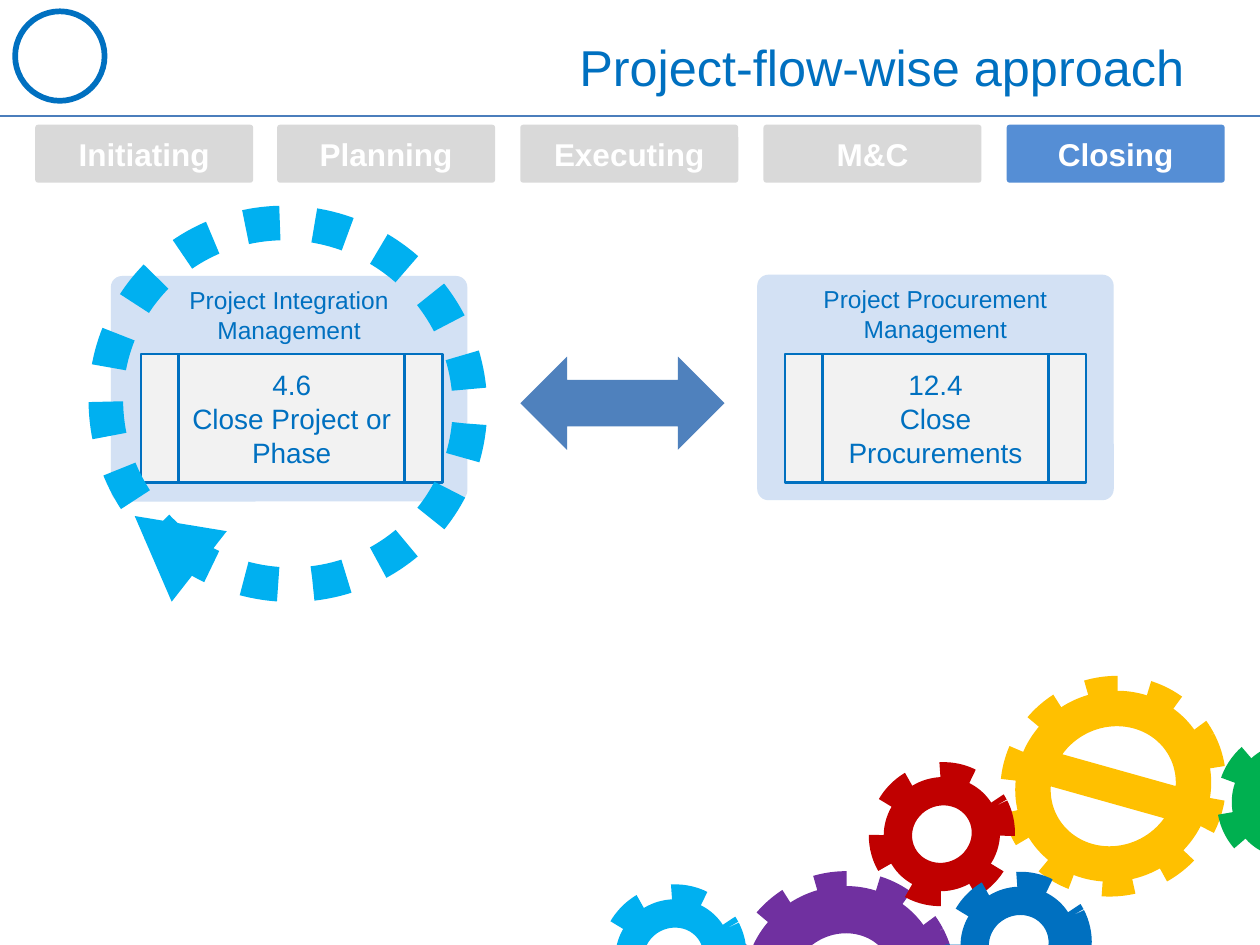
"""Build the project-flow-wise approach slide for the Closing phase."""
from lxml import etree
from pptx import Presentation
from pptx.dml.color import RGBColor
from pptx.enum.dml import MSO_LINE
from pptx.enum.shapes import MSO_CONNECTOR, MSO_SHAPE
from pptx.enum.text import MSO_ANCHOR, MSO_AUTO_SIZE, PP_ALIGN
from pptx.oxml.ns import qn
from pptx.util import Pt

PX = 9144
CENTER, RIGHT = PP_ALIGN.CENTER, PP_ALIGN.RIGHT
TOP, MIDDLE = MSO_ANCHOR.TOP, MSO_ANCHOR.MIDDLE
OVAL, DONUT, NO_ENTRY = MSO_SHAPE.OVAL, MSO_SHAPE.DONUT, MSO_SHAPE.NO_SYMBOL
ROUNDED, TRIANGLE = MSO_SHAPE.ROUNDED_RECTANGLE, MSO_SHAPE.ISOSCELES_TRIANGLE
PROCESS, TWO_WAY = MSO_SHAPE.FLOWCHART_PREDEFINED_PROCESS, MSO_SHAPE.LEFT_RIGHT_ARROW
DOTS = MSO_LINE.ROUND_DOT

WHITE = RGBColor(0xFF, 0xFF, 0xFF)
PALE = RGBColor(0xF2, 0xF2, 0xF2)
GREY = RGBColor(0xD9, 0xD9, 0xD9)
BLUE = RGBColor(0x00, 0x70, 0xC0)
SKY = RGBColor(0x00, 0xB0, 0xF0)
ACTIVE = RGBColor(0x55, 0x8E, 0xD5)
PANEL = RGBColor(0xC6, 0xD9, 0xF1)
ARROW = RGBColor(0x4F, 0x81, 0xBD)
RULE = RGBColor(0x4B, 0x7E, 0xBC)
GOLD = RGBColor(0xFF, 0xC0, 0x00)
PURPLE = RGBColor(0x70, 0x30, 0xA0)
RED = RGBColor(0xC0, 0x00, 0x00)
GREEN = RGBColor(0x00, 0xB0, 0x50)


def add_shape(kind, box, fill=None, line=None, width=1, rot=0, dash=None):
    sp = slide.shapes.add_shape(kind, *[v * PX for v in box])
    sp.shadow.inherit = False
    sp.rotation = rot
    if fill is None:
        sp.fill.background()
    else:
        sp.fill.solid()
        sp.fill.fore_color.rgb = fill
    if line is None:
        sp.line.fill.background()
    else:
        sp.line.color.rgb = line
        sp.line.width = Pt(width)
        sp.line.dash_style = dash
    if kind == ROUNDED:
        sp.adjustments[0] = 0.05
    return sp


def set_text(sp, text, size, color, bold=False, align=CENTER, anchor=MIDDLE):
    tf = sp.text_frame
    tf.text = text
    tf.word_wrap = True
    tf.auto_size = MSO_AUTO_SIZE.NONE
    tf.vertical_anchor = anchor
    for p in tf.paragraphs:
        p.alignment = align
        for r in p.runs:
            r.font.name = "Arial"
            r.font.size = Pt(size)
            r.font.bold = bold
            r.font.color.rgb = color


prs = Presentation()
prs.slide_width, prs.slide_height = 1000 * PX, 750 * PX
slide = prs.slides.add_slide(prs.slide_layouts[5])

title = slide.shapes.title
title.left, title.top, title.width, title.height = 50 * PX, 30 * PX, 900 * PX, 46 * PX
set_text(title, "Project-flow-wise approach", 28.8, BLUE, align=RIGHT)

rule = slide.shapes.add_connector(MSO_CONNECTOR.STRAIGHT, 0, 92 * PX, 1000 * PX, 92 * PX)
rule.line.color.rgb = RULE
rule.line.width = Pt(0.75)
etree.SubElement(rule._element.spPr, qn("a:effectLst"))

add_shape(OVAL, (12, 9, 71, 71), line=BLUE, width=3.25)

phases = ["Initiating", "Planning", "Executing", "M&C", "Closing"]
first, last = 28, 799
for i, phase in enumerate(phases):
    left = first + (last - first) * i // (len(phases) - 1)
    sp = add_shape(ROUNDED, (left, 99, 173, 46), ACTIVE if phase == "Closing" else GREY)
    set_text(sp, phase, 18, WHITE, bold=True)

areas = [
    ((88, 219, 283, 179), "Project Integration\nManagement", 112, "4.6\nClose Project or Phase"),
    ((601, 218, 283, 179), "Project Procurement\nManagement", 623, "12.4\nClose Procurements"),
]
for box, area, left, process in areas:
    panel = add_shape(ROUNDED, box, PANEL)
    color = panel.fill._xPr.find(qn("a:solidFill"))[0]
    etree.SubElement(color, qn("a:alpha"), val="77000")
    set_text(panel, area, 14, BLUE, anchor=TOP)
    sp = add_shape(PROCESS, (left, 281, 239, 102), PALE, BLUE, 1.5)
    set_text(sp, process, 16, BLUE)

add_shape(OVAL, (86, 175, 285, 291), line=SKY, width=19.75, rot=305.8, dash=DOTS)
add_shape(TRIANGLE, (97, 397, 71, 65), SKY, rot=308)
add_shape(TWO_WAY, (413, 283, 162, 74), ARROW)

gears = [
    (NO_ENTRY, (805, 549, 157, 150), GOLD, 152.3),
    (DONUT, (590, 704, 157, 150), PURPLE, 152.3),
    (DONUT, (701, 617, 93, 90), RED, 152.3),
    (DONUT, (977, 590, 93, 90), GREEN, 141.3),
    (DONUT, (488, 714, 93, 90), SKY, 152.3),
    (DONUT, (762, 704, 93, 90), BLUE, 152.3),
]
for kind, box, color, rot in gears:
    add_shape(kind, box, color, rot=rot)
    add_shape(OVAL, box, line=color, width=17, rot=rot, dash=DOTS)

prs.save("out.pptx")
